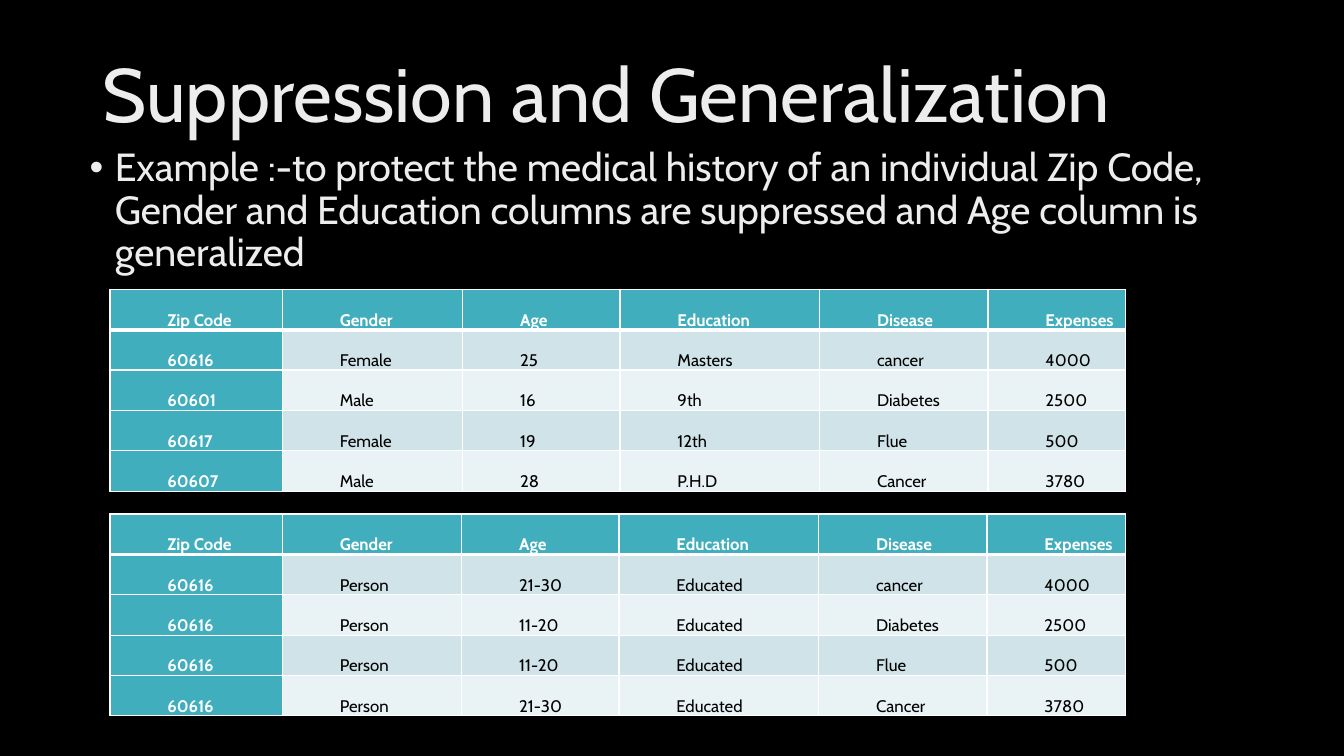
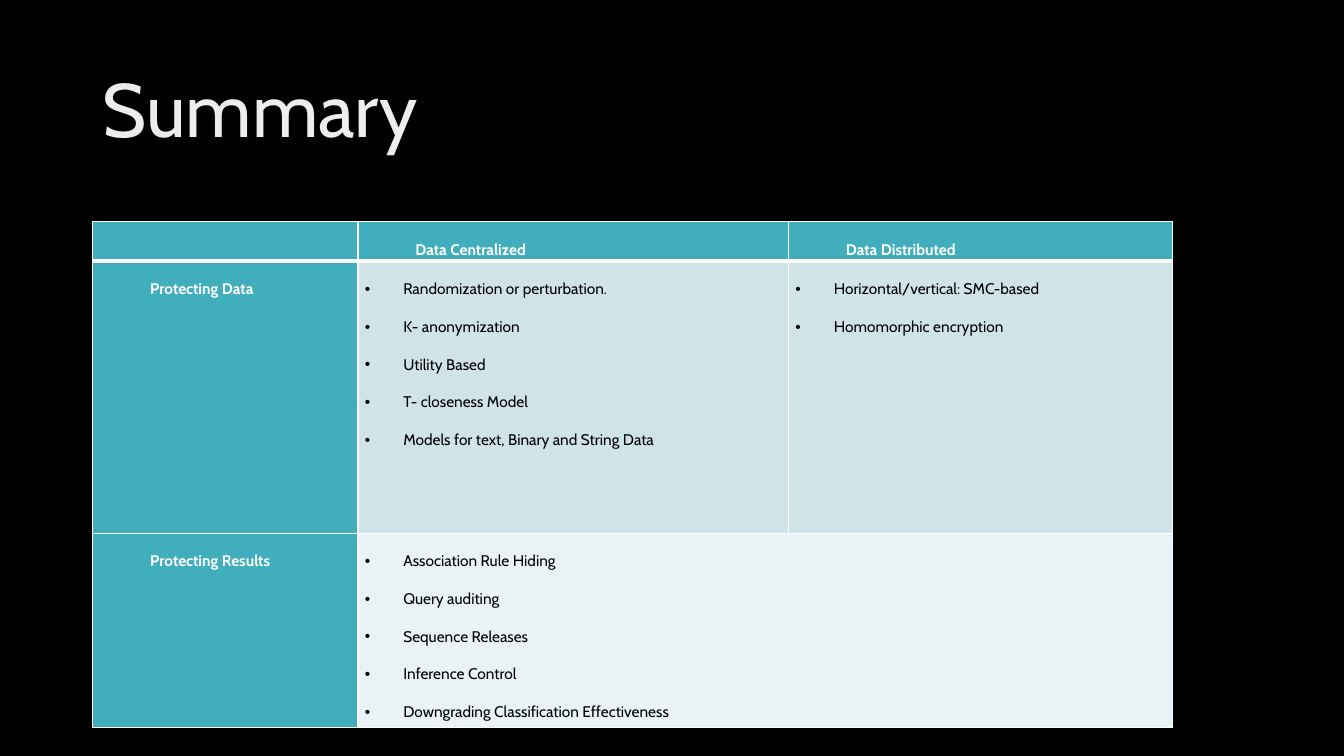
import pptx
import pptx.dml.color
import pptx.enum.text
import pptx.oxml
import pptx.oxml.ns
import pptx.util

Inches = pptx.util.Inches
Pt = pptx.util.Pt
Color = pptx.dml.color.RGBColor
Align = pptx.enum.text.PP_ALIGN
Anchor = pptx.enum.text.MSO_ANCHOR

BLACK = Color(0, 0, 0)
WHITE = Color(255, 255, 255)
PALE = Color(0xED, 0xED, 0xED)
TEAL = Color(0x41, 0xAE, 0xBD)
BANDS = [Color(0xCF, 0xE3, 0xE8), Color(0xE9, 0xF2, 0xF4)]
FONT = "Cabin"
THIN, THICK = 1, 3

HEADS = ["Zip Code", "Gender", "Age", "Education", "Disease", "Expenses"]
BEFORE = [
    HEADS,
    ["60616", "Female", "25", "Masters", "cancer", "4000"],
    ["60601", "Male", "16", "9th", "Diabetes", "2500"],
    ["60617", "Female", "19", "12th", "Flue", "500"],
    ["60607", "Male", "28", "P.H.D", "Cancer", "3780"],
]
AGES = ["21-30", "11-20", "11-20", "21-30"]
AFTER = [HEADS] + [
    ["60616", "Person", age, "Educated"] + row[4:]
    for age, row in zip(AGES, BEFORE[1:])
]
METHODS = [
    ["", "Data Centralized", "Data Distributed"],
    [
        "Protecting Data",
        ["Randomization or perturbation.", "K- anonymization", "Utility Based",
         "T- closeness Model", "Models for text, Binary and String Data"],
        ["Horizontal/vertical: SMC-based", "Homomorphic encryption"],
    ],
    [
        "Protecting Results",
        ["Association Rule Hiding", "Query auditing", "Sequence Releases",
         "Inference Control", "Downgrading Classification Effectiveness"],
        "",
    ],
]


def style(para, size, color, bold=False, space=0.9):
    """Set the font and line spacing of a paragraph."""
    para.font.name = FONT
    para.font.size = Pt(size)
    para.font.bold = bold
    para.font.color.rgb = color
    para.line_spacing = space


def indent(para, left, first, mark=None):
    """Indent a paragraph and give it a bullet if one is named."""
    props = para._p.get_or_add_pPr()
    props.set("marL", str(Inches(left)))
    props.set("indent", str(Inches(first)))
    if mark:
        face = pptx.oxml.ns.qn("a:buFont")
        props.append(props.makeelement(face, {"typeface": "Arial"}))
        sign = pptx.oxml.ns.qn("a:buChar")
        props.append(props.makeelement(sign, {"char": mark}))


def border(cell, top, bottom):
    """Draw white lines around a cell, with the given widths above and below."""
    props = cell._tc.get_or_add_tcPr()
    for side, width in (("L", THIN), ("R", THIN), ("T", top), ("B", bottom)):
        props.append(pptx.oxml.parse_xml(
            f'<a:ln{side} {pptx.oxml.ns.nsdecls("a")} w="{Pt(width)}">'
            f'<a:solidFill><a:srgbClr val="{WHITE}"/></a:solidFill>'
            f'</a:ln{side}>'))


def add_text(slide, box, text, size, anchor):
    """Place a wrapped text box and return its paragraph."""
    frame = slide.shapes.add_textbox(*map(Inches, box)).text_frame
    frame.word_wrap = True
    frame.vertical_anchor = anchor
    para = frame.paragraphs[0]
    para.text = text
    style(para, size, PALE)
    return para


def add_slide(deck, title, height):
    """Add a black slide with its title."""
    slide = deck.slides.add_slide(deck.slide_layouts[6])
    slide.background.fill.solid()
    slide.background.fill.fore_color.rgb = BLACK
    add_text(slide, (0.92, 0.4, 11.5, height), title, 54, Anchor.MIDDLE)
    return slide


def fill_cell(cell, text, size, color, bold, align):
    """Write one entry, or a bulleted list, into a cell."""
    cell.margin_left = cell.margin_right = Inches(0.07)
    cell.margin_top = cell.margin_bottom = 0
    listed = isinstance(text, list)
    cell.text = "\n".join(text) if listed else text
    for para in cell.text_frame.paragraphs:
        style(para, size, color, bold, 2.0)
        if listed:
            indent(para, 0.38, -0.38, "•")
        else:
            para.alignment = align
            indent(para, 0, 0.5)


def add_grid(slide, left, top, widths, heights, rows, size, align):
    """Place a table with a teal first row and column and banded rows."""
    box = map(Inches, (left, top, sum(widths), sum(heights)))
    table = slide.shapes.add_table(len(rows), len(widths), *box).table
    for col, width in zip(table.columns, widths):
        col.width = Inches(width)
    for i, row in enumerate(rows):
        table.rows[i].height = Inches(heights[i])
        for j, text in enumerate(row):
            cell = table.cell(i, j)
            head = i == 0 or j == 0
            fill_cell(cell, text, size, WHITE if head else BLACK, head,
                      Align.JUSTIFY if i == 0 else align)
            border(cell, THICK if i == 1 else THIN, THICK if i == 0 else THIN)
            cell.fill.solid()
            cell.fill.fore_color.rgb = TEAL if head else BANDS[(i - 1) % 2]
    return table


def add_sample(deck):
    """Build the slide that compares records before and after."""
    slide = add_slide(deck, "Suppression and Generalization", 1.14)
    para = add_text(
        slide, (0.79, 1.42, 11.63, 1.4),
        "Example :-to protect the medical history of an individual Zip Code, "
        "Gender and Education columns are suppressed and Age column is "
        "generalized", 28, Anchor.TOP)
    indent(para, 0.25, -0.25, "•")
    heights = [0.4] * len(BEFORE)
    add_grid(slide, 1.09, 2.87, [1.71, 1.79, 1.56, 1.98, 1.67, 1.36],
             heights, BEFORE, 12, Align.JUSTIFY)
    add_grid(slide, 1.09, 5.1, [1.71, 1.78, 1.56, 1.98, 1.67, 1.37],
             heights, AFTER, 12, Align.JUSTIFY)


def add_summary(deck):
    """Build the slide that sums up the methods."""
    slide = add_slide(deck, "Summary", 1.45)
    table = add_grid(slide, 0.92, 2.2, [2.63, 4.27, 3.81],
                     [0.39, 2.7, 1.93], METHODS, 11, Align.LEFT)
    table.cell(2, 1).merge(table.cell(2, 2))


deck = pptx.Presentation()
deck.slide_width = Inches(13.33)
deck.slide_height = Inches(7.5)
add_sample(deck)
add_summary(deck)
deck.save("out.pptx")
